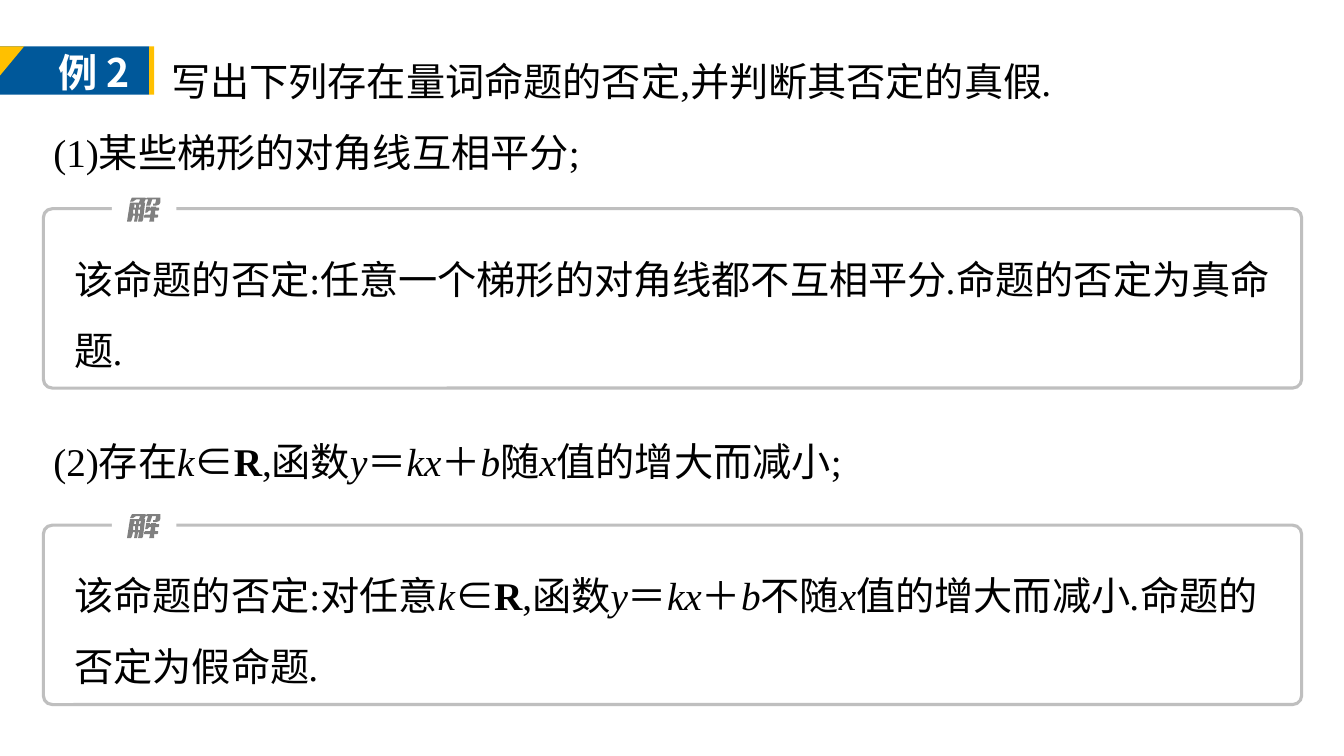
from pptx import Presentation
from pptx.dml.color import RGBColor
from pptx.enum.shapes import MSO_SHAPE as Shape
from pptx.oxml.ns import qn
from pptx.util import Emu, Pt
from lxml.etree import SubElement

COLS, ROWS = 1333, 750
CELL = 9144
SERIF, SANS = "Times New Roman", "Noto Sans CJK SC"
BLUE, GOLD, GRAY, WHITE, BLACK = "00589A", "FFC000", "BFBFBF", "FFFFFF", "000000"
EDGE, WIDE = 43, 1248
INSET = 21
LEAD = 117

FORMULA = [("k", "i"), ("∈", "m"), ("R", "b"), (",函数", ""), ("y", "i"),
           ("＝", "m"), ("kx", "i"), ("＋", "m"), ("b", "i")]
INTRO = [
    [("写出下列存在量词命题的否定,并判断其否定的真假", ""), (".", "i")],
    [("(1)某些梯形的对角线互相平分;", "")],
]
SECOND = [[("(2)存在", ""), *FORMULA, ("随", ""), ("x", "i"), ("值的增大而减小;", "")]]
ANSWERS = [
    (207, [("该命题的否定:任意一个梯形的对角线都不互相平分", ""), (".", "i"),
           ("命题的否定为真命题", ""), (".", "i")]),
    (521, [("该命题的否定:对任意", ""), *FORMULA, ("不随", ""), ("x", "i"),
           ("值的增大而减小", ""), (".", "i"), ("命题的否定为假命题", ""), (".", "i")]),
]
BADGE = [[("例 ", "b"), ("2", "bm")]]

GLYPH = [
    [(11, 12), (11, 16), (13, 16), (13, 12)],
    [(6, 12), (6, 16), (8, 16), (8, 12)],
    [(25, 9), (29, 9), (29, 10), (32, 10), (32, 12), (31, 13), (28, 13), (28, 17),
     (31, 17), (31, 19), (30, 20), (27, 20), (27, 24), (22, 24), (23, 20), (17, 20),
     (17, 18), (18, 17), (23, 17), (24, 13), (22, 13), (20, 15), (18, 15), (19, 10),
     (19, 9), (23, 9), (23, 10), (24, 10), (24, 9)],
    [(12, 7), (12, 10), (13, 10), (14, 7)],
    [(20, 0), (33, 0), (33, 5), (32, 7), (29, 8), (26, 8), (26, 6), (28, 6), (29, 2),
     (25, 2), (24, 5), (23, 8), (19, 8), (21, 2), (19, 2), (19, 1)],
    [(5, 0), (18, 0), (19, 1), (17, 5), (18, 5), (16, 22), (15, 24), (11, 24),
     (12, 18), (11, 18), (10, 24), (7, 24), (8, 18), (6, 18), (5, 22), (4, 24),
     (0, 24), (3, 5), (8, 5), (7, 10), (9, 10), (9, 7), (8, 7), (8, 5), (12, 5),
     (13, 2), (9, 2), (6, 4), (3, 4)],
]


def rgb(color):
    return RGBColor.from_string(color)


def grid(*cells):
    return [Emu(round(c * CELL)) for c in cells]


def paint(s, fill=None, line=None):
    s.shadow.inherit = False
    if fill:
        s.fill.solid()
        s.fill.fore_color.rgb = rgb(fill)
    else:
        s.fill.background()
    if line:
        s.line.color.rgb = rgb(line)
        s.line.width = Pt(2.25)
    else:
        s.line.fill.background()


def add_block(shapes, kind, at, fill=None, line=None):
    s = shapes.add_shape(kind, *grid(*at))
    paint(s, fill, line)
    return s


def add_text(shapes, at, paragraphs, color=BLACK, spacing=1.5, lead=0):
    tf = shapes.add_textbox(*grid(*at)).text_frame
    tf.word_wrap = True
    for i, runs in enumerate(paragraphs):
        p = tf.add_paragraph() if i else tf.paragraphs[0]
        p.line_spacing = spacing
        if lead and i == 0:
            p._p.get_or_add_pPr().set("indent", str(lead * CELL))
        p.font.size = Pt(28)
        p.font.color.rgb = rgb(color)
        p.font.name = SERIF
        SubElement(p.font._element, qn("a:ea")).set("typeface", SANS)
        for text, style in runs:
            r = p.add_run()
            r.text = text
            if "i" in style:
                r.font.italic = True
            if "b" in style:
                r.font.bold = True
            if "m" in style:
                r.font.name = SANS
    return tf


def add_glyph(shapes, left, top):
    start, *rest = GLYPH[0]
    outline = shapes.build_freeform(*start, scale=CELL)
    outline.add_line_segments(rest, close=True)
    for start, *rest in GLYPH[1:]:
        outline.move_to(*start)
        outline.add_line_segments(rest, close=True)
    paint(outline.convert_to_shape(*grid(left, top)), "808080")


def add_badge(shapes):
    add_block(shapes, Shape.RECTANGLE, (0, 46, 148, 48), BLUE)
    corner = add_block(shapes, Shape.RIGHT_TRIANGLE, (0, 46, 24, 29), GOLD)
    corner._element.spPr.xfrm.set("flipV", "1")
    tf = add_text(shapes, (48, 43, 100, 57), BADGE, WHITE, 1.0)
    tf.margin_right = 0
    add_block(shapes, Shape.RECTANGLE, (148, 46, 5, 48), GOLD)


def add_answer(shapes, top, runs):
    card = add_block(shapes, Shape.ROUNDED_RECTANGLE, (EDGE, top, WIDE, 178), line=GRAY)
    card.adjustments[0] = 0.05
    add_block(shapes, Shape.RECTANGLE, (111, top - 12, 64, 24), WHITE)
    add_glyph(shapes, 126, top - 11)
    add_text(shapes, (EDGE + INSET, top + 18, WIDE - 2 * INSET, 144), [runs])


def main():
    prs = Presentation()
    prs.slide_width, prs.slide_height = grid(COLS, ROWS)
    shapes = prs.slides.add_slide(prs.slide_layouts[6]).shapes
    add_text(shapes, (EDGE, 29, WIDE, 144), INTRO, lead=LEAD)
    add_badge(shapes)
    add_text(shapes, (EDGE, 406, WIDE, 73), SECOND)
    for top, runs in ANSWERS:
        add_answer(shapes, top, runs)
    prs.save("out.pptx")


if __name__ == "__main__":
    main()
